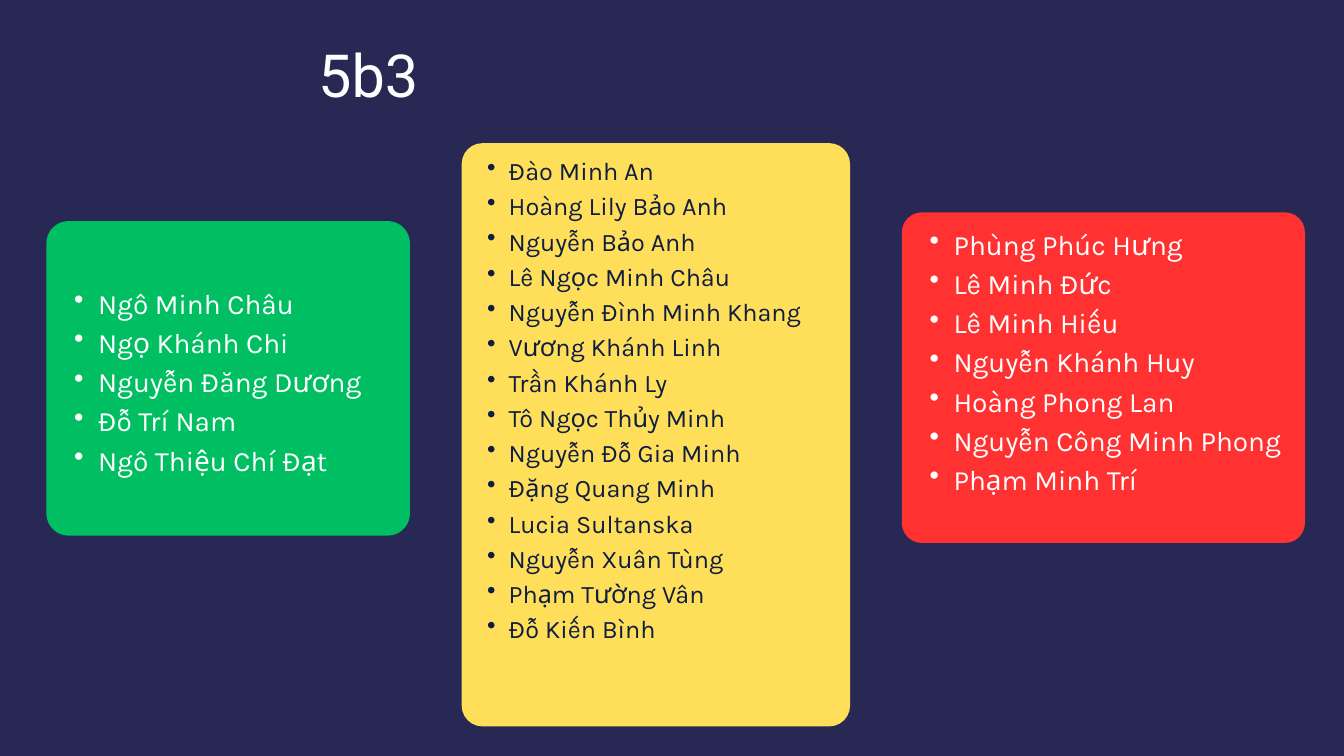
import pptx
import pptx.util
import pptx.dml.color
import pptx.enum.shapes
import pptx.enum.text
import pptx.oxml.ns
from lxml import etree

Inches = pptx.util.Inches
Pt = pptx.util.Pt

COLORS = {
    "back": "282854",
    "green": "00BF63",
    "yellow": "FFDE59",
    "red": "FF3131",
    "white": "FFFFFF",
    "navy": "0E1D40",
}

# Fill, text colour, card (left, top, width, height), corner radius,
# rise of the text box above the card, insets (top, bottom), size, indent
CARDS = [
    ("red", "white", (13.42, 3.16, 6, 4.92), 0.3, 0.19, (0.06, 0.43), 30, 0.71, [
        "Phùng Phúc Hưng", "Lê Minh Đức", "Lê Minh Hiếu",
        "Nguyễn Khánh Huy", "Hoàng Phong Lan",
        "Nguyễn Công Minh Phong", "Phạm Minh Trí"]),
    ("yellow", "navy", (6.87, 2.13, 5.78, 8.68), 0.31, 0.23, (0.06, 0.95), 27, 0.64, [
        "Đào Minh An", "Hoàng Lily Bảo Anh", "Nguyễn Bảo Anh",
        "Lê Ngọc Minh Châu", "Nguyễn Đình Minh Khang",
        "Vương Khánh Linh", "Trần Khánh Ly", "Tô Ngọc Thủy Minh",
        "Nguyễn Đỗ Gia Minh", "Đặng Quang Minh", "Lucia Sultanska",
        "Nguyễn Xuân Tùng", "Phạm Tường Vân", "Đỗ Kiến Bình"]),
    ("green", "white", (0.69, 3.29, 5.41, 4.68), 0.33, 0.2, (0.64, 0.43), 30, 0.71, [
        "Ngô Minh Châu", "Ngọ Khánh Chi", "Nguyễn Đăng Dương",
        "Đỗ Trí Nam", "Ngô Thiệu Chí Đạt"]),
]


def color(name):
    return pptx.dml.color.RGBColor.from_string(COLORS[name])


def style(para, font, size, ink, space):
    para.line_spacing = Pt(space)
    for run in para.runs:
        run.font.name = font
        run.font.size = Pt(size)
        run.font.color.rgb = color(ink)


def add_bullet(para, indent):
    props = para._p.get_or_add_pPr()
    props.set("marL", str(Inches(indent)))
    props.set("indent", str(-Inches(indent / 2)))
    mark = etree.SubElement(props, pptx.oxml.ns.qn("a:buChar"))
    mark.set("char", "•")


def add_frame(slide, left, top, width, height, insets):
    box = slide.shapes.add_textbox(
        Inches(left), Inches(top), Inches(width), Inches(height))
    frame = box.text_frame
    frame.word_wrap = True
    side, upper, lower = insets
    frame.margin_left = frame.margin_right = Inches(side)
    frame.margin_top, frame.margin_bottom = Inches(upper), Inches(lower)
    return frame


def add_title(slide, text):
    frame = add_frame(slide, 0.69, 0.65, 9.58, 1, (0, 0, 0))
    frame.text = text
    para = frame.paragraphs[0]
    para.alignment = pptx.enum.text.PP_ALIGN.CENTER
    style(para, "Roboto", 63.6, "white", 70.6)


def add_panel(slide, fill, place, radius):
    panel = slide.shapes.add_shape(
        pptx.enum.shapes.MSO_SHAPE.ROUNDED_RECTANGLE, *map(Inches, place))
    panel.adjustments[0] = radius / min(place[2:])
    panel.shadow.inherit = False
    panel.fill.solid()
    panel.fill.fore_color.rgb = color(fill)
    panel.line.fill.background()


def add_names(slide, names, place, insets, ink, size, indent):
    frame = add_frame(slide, *place, (0.06, *insets))
    frame.vertical_anchor = pptx.enum.text.MSO_ANCHOR.MIDDLE
    frame.text = "\n".join(names)
    for para in frame.paragraphs:
        add_bullet(para, indent)
        style(para, "Karla", size, ink, size * 1.4)


def main():
    deck = pptx.Presentation()
    deck.slide_width, deck.slide_height = Inches(20), Inches(11.25)
    slide = deck.slides.add_slide(deck.slide_layouts[6])
    slide.background.fill.solid()
    slide.background.fill.fore_color.rgb = color("back")

    # Class name
    add_title(slide, "5b3")

    # Three cards of pupils
    for fill, ink, place, radius, rise, insets, size, indent, names in CARDS:
        left, top, width, height = place
        add_panel(slide, fill, place, radius)
        add_names(slide, names, (left, top - rise, width, height + rise),
                  insets, ink, size, indent)

    deck.save("out.pptx")


if __name__ == "__main__":
    main()
